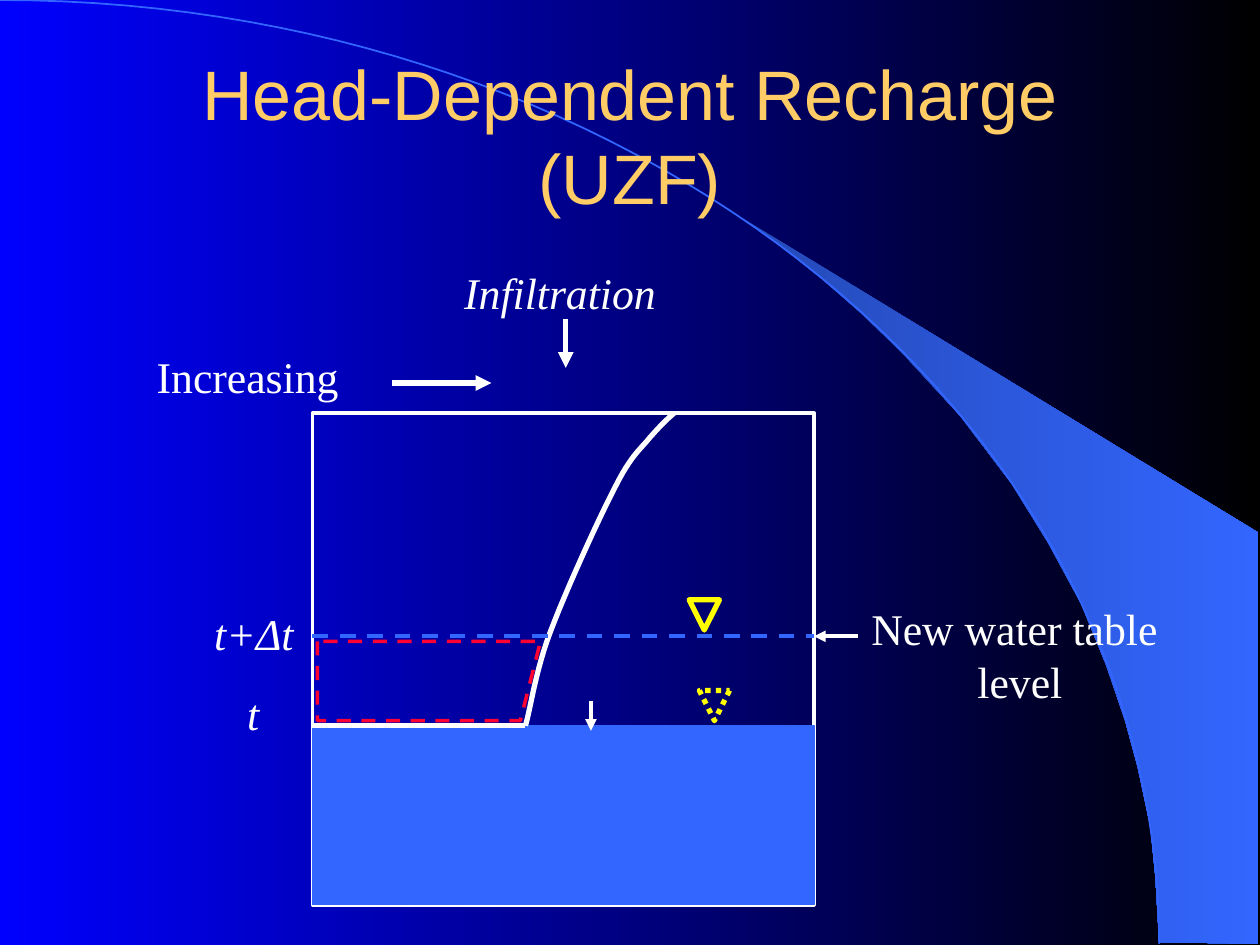
from dataclasses import dataclass

from lxml import etree
from pptx import Presentation
from pptx.dml.color import RGBColor
from pptx.enum.dml import MSO_LINE
from pptx.enum.shapes import MSO_CONNECTOR, MSO_SHAPE
from pptx.enum.text import MSO_ANCHOR, MSO_AUTO_SIZE, PP_ALIGN
from pptx.oxml.ns import qn
from pptx.util import Inches, Pt

STRAIGHT = MSO_CONNECTOR.STRAIGHT
RECTANGLE = MSO_SHAPE.RECTANGLE
TRIANGLE = MSO_SHAPE.ISOSCELES_TRIANGLE
DASH, DOT = MSO_LINE.DASH, MSO_LINE.ROUND_DOT
CENTER, MIDDLE = PP_ALIGN.CENTER, MSO_ANCHOR.MIDDLE
GROW = MSO_AUTO_SIZE.SHAPE_TO_FIT_TEXT

COLORS = {
    "blue": "0000FF", "black": "000000", "water": "3366FF", "sweep": "2449B6",
    "title": "FFCC66", "white": "FFFFFF", "yellow": "FFFF00", "red": "FF0033",
}
LEFT, RIGHT, TOP, BOTTOM = 2.48, 6.46, 3.28, 7.18
OLD_LEVEL, NEW_LEVEL = 5.76, 5.05
FRONT_X = 4.17

Point = tuple[float, float]


@dataclass(frozen=True)
class Stroke:
    color: str
    width: float
    dash: MSO_LINE | None = None


@dataclass(frozen=True)
class Segment:
    start: Point
    end: Point
    stroke: Stroke
    arrow: bool = False


@dataclass(frozen=True)
class Label:
    box: tuple[float, float, float, float]
    lines: tuple[str, ...]
    italic: bool = False
    size: float = 25
    font: str = "Times New Roman"
    color: str = "white"
    wrap: bool = False


THICK, MEDIUM = Stroke("white", 3), Stroke("white", 2.25)

SWEEP = [
    (9.2, 7.48), (9.99, 7.49), (9.99, 4.23), (5.89, 1.73), (6.24, 1.99), (6.53, 2.22),
    (6.85, 2.5), (7.16, 2.8), (7.62, 3.3), (8.03, 3.84), (8.32, 4.31), (8.58, 4.79),
    (8.78, 5.28), (8.93, 5.72), (9.03, 6.09), (9.13, 6.56), (9.17, 6.96), (9.2, 7.48),
]
ARC = [(0, 0), (5.08, 0), (9.2, 3.35), (9.2, 7.49)]
MOISTURE_PROFILE = [
    (5.35, TOP), (5.3, 3.32), (5.24, 3.38), (5.16, 3.47), (5.08, 3.57), (5.01, 3.61),
    (4.88, 3.87), (4.75, 4.12), (4.49, 4.69), (4.37, 5.01), (4.25, 5.32), (4.21, 5.63),
    (FRONT_X, OLD_LEVEL),
]
RECHARGE_AREA = [(2.52, 5.09), (2.52, 5.72), (4.13, 5.72), (4.29, 5.09)]

SEGMENTS = [
    Segment((4.49, 2.53), (4.49, 2.92), THICK, True),
    Segment((3.11, 3.04), (3.9, 3.04), THICK, True),
    Segment((FRONT_X, OLD_LEVEL), (LEFT, OLD_LEVEL), THICK),
    Segment((LEFT, NEW_LEVEL), (RIGHT, NEW_LEVEL), Stroke("water", 2.25, DASH)),
    Segment((6.81, NEW_LEVEL), (RIGHT, NEW_LEVEL), MEDIUM, True),
    Segment((4.69, 5.56), (4.69, 5.8), MEDIUM, True),
]
TITLE = Label((0.75, 0.44, 8.5, 1.25), ("Head-Dependent Recharge (UZF)",),
              size=40, font="Arial", color="title", wrap=True)
LABELS = [
    Label((3.58, 2.06, 1.73, 0.52), ("Infiltration",), italic=True),
    Label((1.14, 2.73, 1.65, 0.52), ("Increasing",)),
    Label((6.81, 4.73, 2.57, 0.93), ("New water table ", "level")),
    Label((1.86, 5.4, 0.3, 0.52), ("t",), italic=True),
    Label((1.6, 4.77, 0.83, 0.52), ("t+Δt",), italic=True),
]


def rgb(name: str) -> RGBColor:
    """Look up a palette colour."""
    return RGBColor.from_string(COLORS[name])


def apply_stroke(line, stroke: Stroke) -> None:
    """Set the colour, width and dash of a line."""
    line.color.rgb = rgb(stroke.color)
    line.width = Pt(stroke.width)
    if stroke.dash is not None:
        line.dash_style = stroke.dash


def apply_gradient(fill, names: tuple[str, str]) -> None:
    """Fill with a left-to-right gradient."""
    fill.gradient()
    fill.gradient_angle = 0
    for stop, name, position in zip(fill.gradient_stops, names, (0, 1)):
        stop.color.rgb = rgb(name)
        stop.position = position


def sample_curve(controls: list[Point], steps: int) -> list[Point]:
    """Turn chained cubic Bezier controls into points."""
    points = [controls[0]]
    for first in range(0, len(controls) - 1, 3):
        a, b, c, d = controls[first:first + 4]
        for step in range(1, steps + 1):
            t = step / steps
            u = 1 - t
            weights = (u**3, 3 * u * u * t, 3 * u * t * t, t**3)
            points.append(tuple(
                sum(w * p[axis] for w, p in zip(weights, (a, b, c, d))) for axis in (0, 1)
            ))
    return points


def draw_outline(slide, points: list[Point], stroke: Stroke | None, close: bool = False):
    """Draw an unfilled freeform through the points."""
    corners = [(Inches(x), Inches(y)) for x, y in points]
    builder = slide.shapes.build_freeform(*corners[0])
    builder.add_line_segments(corners[1:], close=close)
    outline = builder.convert_to_shape()
    outline.shadow.inherit = False
    outline.fill.background()
    if stroke:
        apply_stroke(outline.line, stroke)
    else:
        outline.line.fill.background()
    return outline


def draw_preset(slide, preset, box, stroke: Stroke, fill: str | None = None):
    """Draw a preset shape."""
    shape = slide.shapes.add_shape(preset, *map(Inches, box))
    shape.shadow.inherit = False
    if fill:
        shape.fill.solid()
        shape.fill.fore_color.rgb = rgb(fill)
    else:
        shape.fill.background()
    apply_stroke(shape.line, stroke)
    return shape


def draw_segment(slide, segment: Segment) -> None:
    """Draw a straight line, with an arrowhead if asked."""
    connector = slide.shapes.add_connector(
        STRAIGHT, *map(Inches, segment.start + segment.end))
    apply_stroke(connector.line, segment.stroke)
    properties = connector._element.spPr
    if segment.arrow:
        etree.SubElement(properties.find(qn("a:ln")), qn("a:tailEnd"), type="triangle")
    etree.SubElement(properties, qn("a:effectLst"))


def draw_label(slide, label: Label) -> None:
    """Draw centred text, one paragraph a line."""
    frame = slide.shapes.add_textbox(*map(Inches, label.box)).text_frame
    frame.word_wrap = label.wrap
    if label.wrap:
        frame.vertical_anchor = MIDDLE
    else:
        frame.auto_size = GROW
    for index, line in enumerate(label.lines):
        paragraph = frame.add_paragraph() if index else frame.paragraphs[0]
        paragraph.alignment = CENTER
        run = paragraph.add_run()
        run.text = line
        run.font.name = label.font
        run.font.size = Pt(label.size)
        run.font.italic = label.italic
        run.font.color.rgb = rgb(label.color)


def main() -> None:
    """Build the head-dependent recharge slide."""
    deck = Presentation()
    deck.slide_width, deck.slide_height = Inches(10), Inches(7.5)
    slide = deck.slides.add_slide(deck.slide_layouts[6])
    apply_gradient(slide.background.fill, ("blue", "black"))
    sweep = draw_outline(slide, SWEEP, None)
    apply_gradient(sweep.fill, ("sweep", "water"))
    draw_outline(slide, sample_curve(ARC, 60), Stroke("water", 1))
    draw_label(slide, TITLE)
    width = RIGHT - LEFT
    draw_preset(slide, RECTANGLE, (LEFT, TOP, width, BOTTOM - TOP), MEDIUM)
    draw_preset(slide, RECTANGLE, (LEFT, OLD_LEVEL, width, BOTTOM - OLD_LEVEL),
                Stroke("water", 0.75), "water")
    draw_outline(slide, sample_curve(MOISTURE_PROFILE, 12), THICK)
    for segment in SEGMENTS:
        draw_segment(slide, segment)
    for x, y, dash in ((5.47, 4.76, None), (5.55, 5.48, DOT)):
        marker = draw_preset(slide, TRIANGLE, (x, y, 0.24, 0.24), Stroke("yellow", 3, dash))
        marker.rotation = 180
    for label in LABELS:
        draw_label(slide, label)
    draw_outline(slide, RECHARGE_AREA, Stroke("red", 2, DASH), close=True)
    deck.save("out.pptx")


if __name__ == "__main__":
    main()
